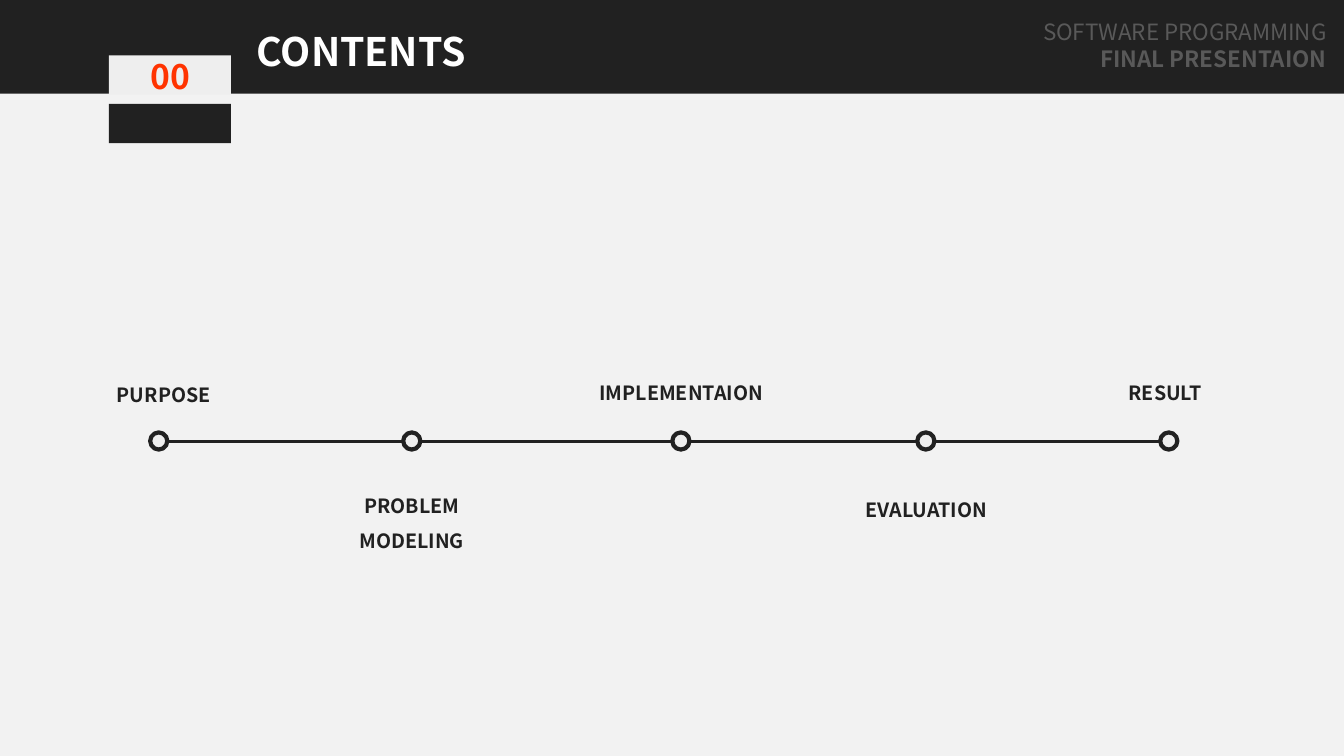
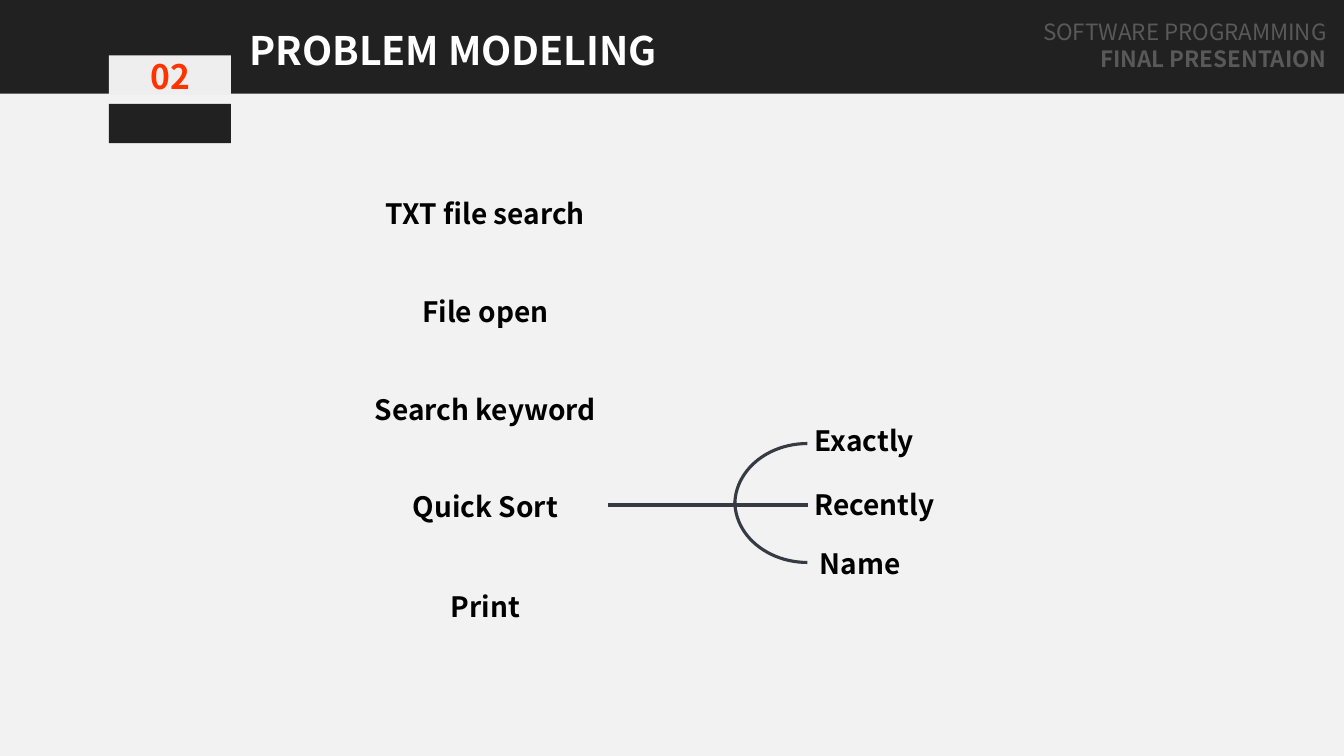
import pptx
import pptx.util
import pptx.dml.color
import pptx.enum.shapes
import pptx.enum.text
import pptx.oxml

SHAPE = pptx.enum.shapes.MSO_SHAPE
ALIGN = pptx.enum.text.PP_ALIGN
INK, PAPER, PALE = "212121", "F2F2F2", "EEEEEE"
ACCENT, MUTED, SLATE = "FF3300", "595959", "363A43"
WHITE, BLACK = "FFFFFF", "000000"
COLUMNS, ROWS = 133.33, 75


def color(code):
    return pptx.dml.color.RGBColor.from_string(code)


def assign(target, values):
    for name, value in values.items():
        setattr(target, name, value)


class Deck:
    font = "Noto Sans CJK KR"

    def __init__(self):
        self.presentation = pptx.Presentation()
        assign(self.presentation, {
            "slide_width": pptx.util.Inches(13.33),
            "slide_height": pptx.util.Inches(7.5),
        })
        self.slide = None

    def across(self, columns):
        return round(self.presentation.slide_width * columns / COLUMNS)

    def down(self, rows):
        return round(self.presentation.slide_height * rows / ROWS)

    def place(self, left, top, width, height):
        return (self.across(left), self.down(top),
                self.across(width), self.down(height))

    def page(self, number, title, title_area):
        self.slide = self.presentation.slides.add_slide(
            self.presentation.slide_layouts[6])
        background = self.slide.background.fill
        background.solid()
        background.fore_color.rgb = color(PAPER)
        self.shape(SHAPE.RECTANGLE, (0, 0, COLUMNS, 9.3), INK)
        self.text((101.9, 1.35, 30.7, 6.4),
                  [("SOFTWARE PROGRAMMING", False), ("FINAL PRESENTAION", True)],
                  16, MUTED, alignment=ALIGN.RIGHT)
        for top, fill in ((5.5, PALE), (10.3, INK)):
            self.shape(SHAPE.RECTANGLE, (10.8, top, 12.1, 3.9), fill)
        self.label((13.4, 5.1, 7, 5), number, 24, ACCENT)
        self.label(title_area, title, 28, WHITE)

    def shape(self, kind, area, fill=None, line=None, weight=0, angles=()):
        shape = self.slide.shapes.add_shape(kind, *self.place(*area))
        shape.shadow.inherit = False
        if fill:
            shape.fill.solid()
            shape.fill.fore_color.rgb = color(fill)
        else:
            shape.fill.background()
        if line:
            shape.line.color.rgb = color(line)
            shape.line.width = pptx.util.Pt(weight)
        else:
            shape.line.fill.background()
        for index, angle in enumerate(angles):
            shape.adjustments[index] = angle * 0.6

    def line(self, start, end, row, stroke):
        connector = self.slide.shapes.add_connector(
            pptx.enum.shapes.MSO_CONNECTOR.STRAIGHT,
            self.across(start), self.down(row), self.across(end), self.down(row))
        connector.line.color.rgb = color(stroke)
        connector.line.width = pptx.util.Pt(2.25)
        connector._element.spPr.append(pptx.oxml.parse_xml(
            '<a:effectLst xmlns:a='
            '"http://schemas.openxmlformats.org/drawingml/2006/main"/>'))

    def text(self, area, paragraphs, size, ink, **layout):
        frame = self.slide.shapes.add_textbox(*self.place(*area)).text_frame
        assign(frame, {
            "word_wrap": True,
            "auto_size": pptx.enum.text.MSO_AUTO_SIZE.SHAPE_TO_FIT_TEXT,
        })
        for index, (wording, bold) in enumerate(paragraphs):
            paragraph = frame.add_paragraph() if index else frame.paragraphs[0]
            assign(paragraph, layout)
            run = paragraph.add_run()
            run.text = wording
            assign(run.font, {"name": self.font, "bold": bold,
                              "size": pptx.util.Pt(size)})
            run.font.color.rgb = color(ink)

    def label(self, area, wording, size, ink, **layout):
        self.text(area, [(wording, True)], size, ink,
                  alignment=ALIGN.CENTER, **layout)


deck = Deck()

deck.page("00", "CONTENTS", (23.2, 2.25, 25.3, 5.7))
deck.line(16.6, 116.5, 43.8, INK)
milestones = [
    (14.9, "PURPOSE", (9.4, 36.3, 13.7, 4.1)),
    (40, "PROBLEM MODELING", (34, 47.3, 13.7, 7.6)),
    (66.7, "IMPLEMENTAION", (57.5, 36.1, 20.2, 4.5)),
    (91, "EVALUATION", (81.8, 47.7, 20.2, 4.1)),
    (115.1, "RESULT", (105.5, 36.1, 20.2, 4.1)),
]
for dot_left, milestone, label_area in milestones:
    deck.shape(SHAPE.OVAL, (dot_left, 42.9, 1.7, 1.7), PALE, INK, 3)
    deck.label(label_area, milestone, 14, INK, line_spacing=1.5)

deck.page("02", "PROBLEM MODELING", (23.1, 2.1, 43.7, 5.7))
steps = [("TXT file search", 19), ("File open", 28.7), ("Search keyword", 38.4),
         ("Quick Sort", 48.1), ("Print", 58)]
for step, top in steps:
    deck.label((33.8, top, 28.7, 4.4), step, 20, BLACK)
deck.line(60.3, 80.2, 50.1, SLATE)
for arc_top, angles in ((44, (180, 270)), (43.7, (90, 180))):
    deck.shape(SHAPE.ARC, (72.9, arc_top, 14.4, 12.1), None, SLATE, 2.25, angles)
sort_orders = [("Exactly", 77.3, 41.5), ("Recently", 78.3, 47.9), ("Name", 76.9, 53.7)]
for order, left, top in sort_orders:
    deck.label((left, top, 16.9, 4.4), order, 20, BLACK)

deck.presentation.save("out.pptx")
